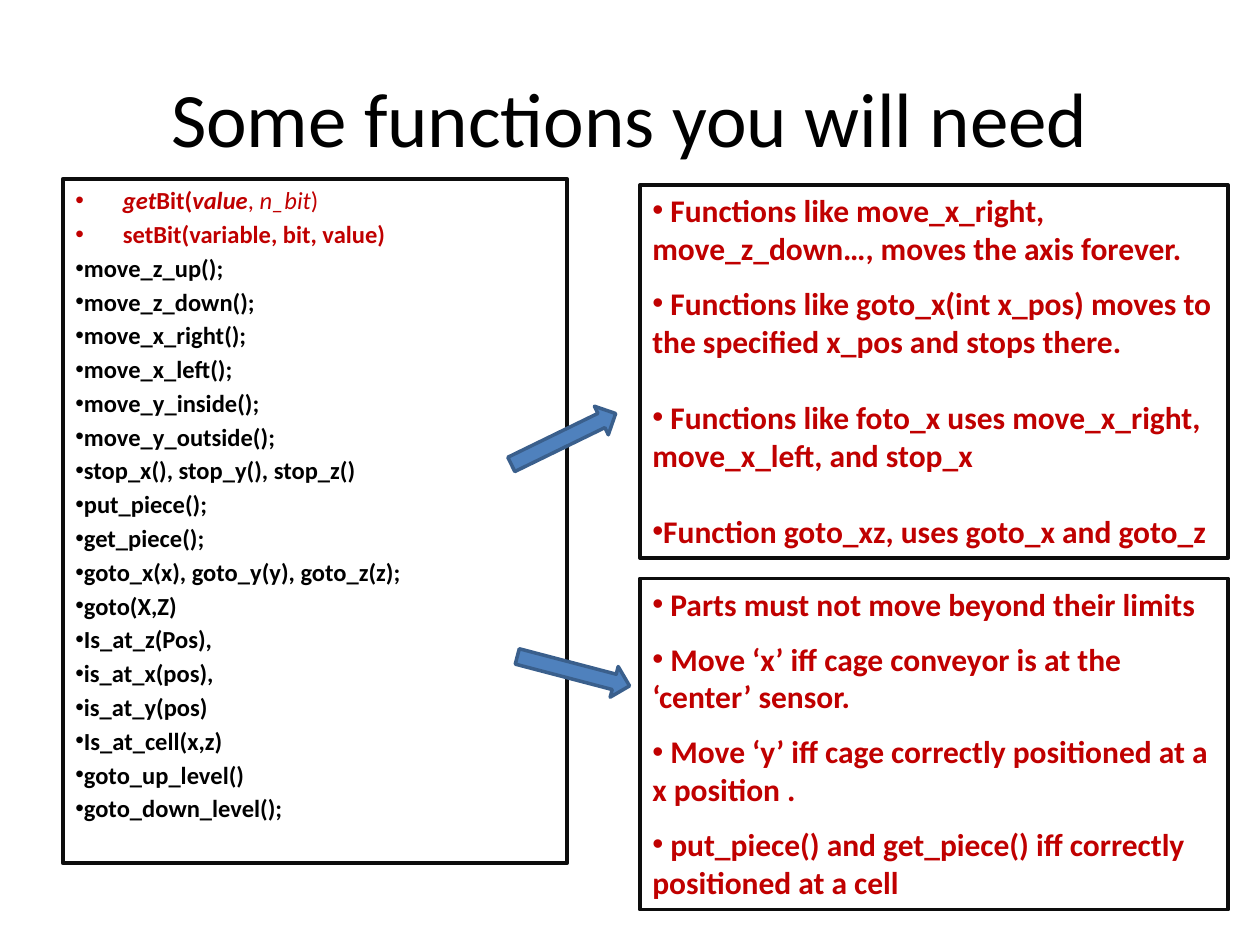
"""Build a slide that lists crane functions beside notes on their use."""
import pptx
import pptx.util
import pptx.dml.color
import pptx.enum.shapes
import pptx.enum.text
import pptx.oxml

Cm, Pt = pptx.util.Cm, pptx.util.Pt
SHAPE = pptx.enum.shapes.MSO_SHAPE
ALIGN = pptx.enum.text.PP_ALIGN
ANCHOR = pptx.enum.text.MSO_ANCHOR
NS = 'xmlns:a="http://schemas.openxmlformats.org/drawingml/2006/main"'
RED, BLACK, EDGE = "C00000", "000000", "0D0D0D"

BITS = [
    [("get", True, True), ("Bit(", True, False), ("value", True, True),
     (", ", False, False), ("n_bit", False, True), (")", False, False)],
    [("setBit(variable, bit, value)", True, False)],
]
CALLS = [
    "move_z_up();", "move_z_down();", "move_x_right();", "move_x_left();",
    "move_y_inside();", "move_y_outside();", "stop_x(), stop_y(), stop_z()",
    "put_piece();", "get_piece();", "goto_x(x), goto_y(y), goto_z(z);",
    "goto(X,Z)", "Is_at_z(Pos),", "is_at_x(pos),", "is_at_y(pos)",
    "Is_at_cell(x,z)", "goto_up_level()", "goto_down_level();",
]
MOVES = [
    (" Functions like move_x_right, move_z_down…, moves the axis forever.", 0),
    (" Functions like goto_x(int x_pos) moves to the specified x_pos and stops there.", 9.8),
    (" Functions like foto_x uses move_x_right, move_x_left, and stop_x", 22),
    ("Function goto_xz, uses goto_x and goto_z", 22),
]
LIMITS = [
    (" Parts must not move beyond their limits", 0),
    (" Move ‘x’ iff cage conveyor is at the ‘center’ sensor.", 9.8),
    (" Move ‘y’ iff cage correctly positioned at a x position .", 9.8),
    (" put_piece() and get_piece() iff correctly positioned at a cell", 9.8),
]


def paint(color, code):
    """Set a color format from a hex string."""
    color.rgb = pptx.dml.color.RGBColor.from_string(code)


def add_run(para, text, size, code, bold=False, italic=False):
    """Append one formatted run."""
    run = para.add_run()
    run.text = text
    font = run.font
    font.name, font.size = "Calibri", Pt(size)
    font.bold, font.italic = bold, italic
    paint(font.color, code)


def add_item(frame, runs, size, code, gap, left=0, hang=0):
    """Append one bulleted paragraph made of (text, bold, italic) runs."""
    para = frame.paragraphs[0]
    if para.runs:
        para = frame.add_paragraph()
    para.alignment = ALIGN.LEFT
    para.space_before = Pt(gap)
    props = para._p.get_or_add_pPr()
    props.set("marL", str(Cm(left)))
    props.set("indent", str(-Cm(hang)))
    for tag in ('buFont {} typeface="Arial"', 'buChar {} char="•"'):
        props.append(pptx.oxml.parse_xml(f"<a:{tag.format(NS)}/>"))
    for text, bold, italic in runs:
        add_run(para, text, size, code, bold, italic)


def add_shape(slide, kind, box, edge, width):
    """Add a flat outlined shape at a box given in centimetres."""
    shape = slide.shapes.add_shape(kind, *map(Cm, box))
    shape.shadow.inherit = False
    paint(shape.line.color, edge)
    shape.line.width = Pt(width)
    return shape


def add_panel(slide, box, width):
    """Add an unfilled frame and return its text frame."""
    shape = add_shape(slide, SHAPE.RECTANGLE, box, EDGE, width)
    shape.fill.background()
    frame = shape.text_frame
    frame.word_wrap = True
    frame.vertical_anchor = ANCHOR.TOP
    return frame


def add_notes(slide, box, notes):
    """Add a framed panel of red notes."""
    frame = add_panel(slide, box, 2)
    for text, gap in notes:
        add_item(frame, [(text, True, False)], 18, RED, gap)


def add_list(slide, box):
    """Add the framed list of functions."""
    frame = add_panel(slide, box, 2.5)
    for runs in BITS:
        add_item(frame, runs, 14, RED, 2.5, 0.96, 0.96)
    for call in CALLS:
        add_item(frame, [(call, True, False)], 14, BLACK, 2.5, 0, 0.96)


def add_arrow(slide, left, top, turn):
    """Add a turned block arrow."""
    arrow = add_shape(slide, SHAPE.RIGHT_ARROW, (left, top, 2.34, 0.64), "3A5F8C", 2)
    arrow.fill.solid()
    paint(arrow.fill.fore_color, "4F81BD")
    arrow.rotation = turn


def set_title(slide, text):
    """Place and format the title."""
    title = slide.shapes.title
    title.left, title.top, title.width, title.height = map(Cm, (1.27, 0.76, 22.86, 3.18))
    frame = title.text_frame
    frame.vertical_anchor = ANCHOR.MIDDLE
    para = frame.paragraphs[0]
    para.alignment = ALIGN.CENTER
    add_run(para, text, 44, BLACK)


def main():
    """Build and save the slide."""
    deck = pptx.Presentation()
    deck.slide_width, deck.slide_height = Cm(25.4), Cm(19.05)
    slide = deck.slides.add_slide(deck.slide_layouts[5])
    set_title(slide, "Some functions you will need")
    add_list(slide, (1.27, 3.61, 10.16, 13.79))
    add_notes(slide, (12.9, 11.66, 11.86, 6.68), LIMITS)
    add_arrow(slide, 10.39, 13.21, 14.7)
    add_arrow(slide, 10.19, 8.53, 334)
    add_notes(slide, (12.9, 3.73, 11.86, 7.52), MOVES)
    deck.save("out.pptx")


if __name__ == "__main__":
    main()
